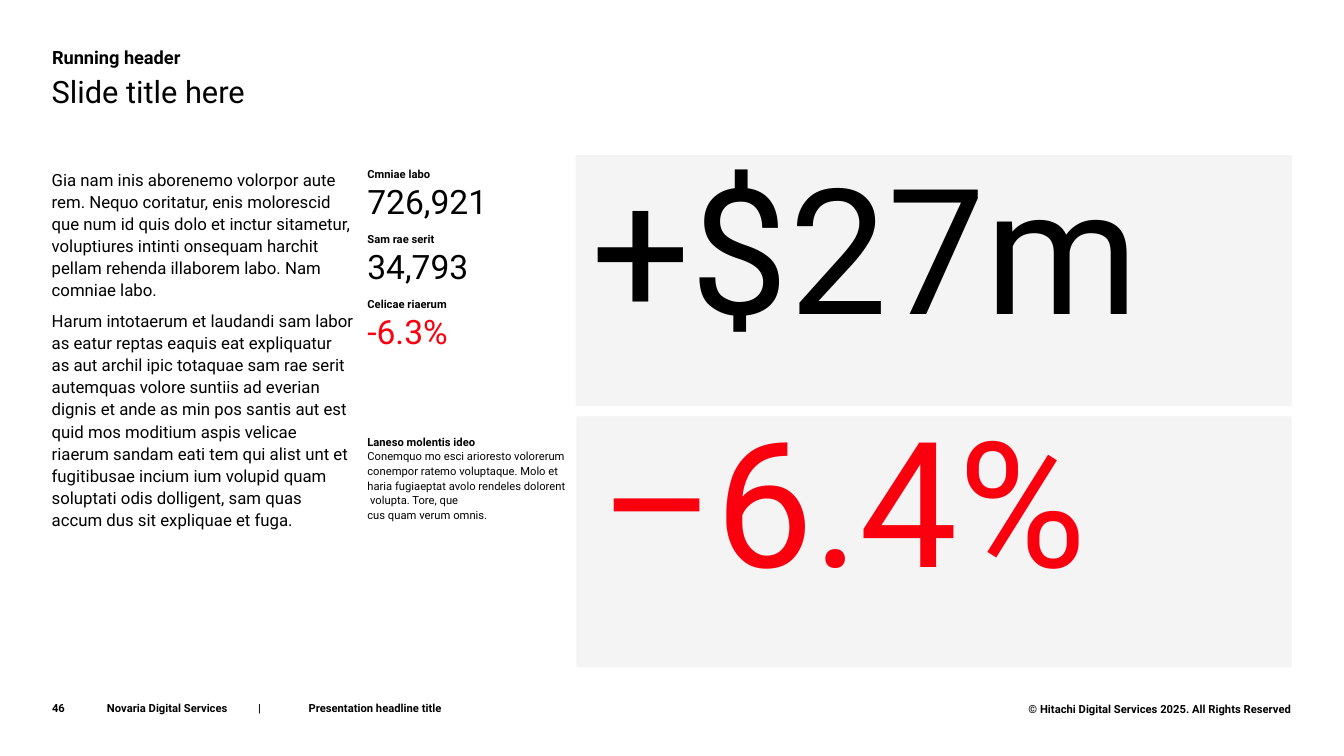
import lxml.etree
import pptx
import pptx.dml.color
import pptx.enum.shapes
import pptx.enum.text
import pptx.oxml.ns
import pptx.util

Pt = pptx.util.Pt
ANCHOR = pptx.enum.text.MSO_ANCHOR
ALIGN = pptx.enum.text.PP_ALIGN
BLACK = pptx.dml.color.RGBColor(0x00, 0x00, 0x00)
RED = pptx.dml.color.RGBColor(0xFA, 0x00, 0x0F)
PANEL_GREY = pptx.dml.color.RGBColor(0xF4, 0xF4, 0xF4)
FONT_NAME = "Roboto"


def prepare_frame(shape, box, margins=(0, 0, 0, 0), anchor=ANCHOR.TOP):
    """Place a shape and return its text frame, wrapped and with set margins."""
    shape.left, shape.top, shape.width, shape.height = [Pt(length) for length in box]
    frame = shape.text_frame
    frame.word_wrap = True
    frame.auto_size = pptx.enum.text.MSO_AUTO_SIZE.NONE
    frame.vertical_anchor = anchor
    (frame.margin_left, frame.margin_top,
     frame.margin_right, frame.margin_bottom) = [Pt(margin) for margin in margins]
    return frame


def add_paragraph(frame, text, size, bold=False, color=BLACK, line_spacing=1.0,
                  space_before=0, alignment=ALIGN.LEFT, tab_stops=()):
    """Add a paragraph without a bullet; a newline in the text is a line break."""
    paragraph = frame.add_paragraph() if frame.text else frame.paragraphs[0]
    properties = paragraph._p.get_or_add_pPr()
    properties.set("marL", "0")
    properties.set("indent", "0")
    lxml.etree.SubElement(properties, pptx.oxml.ns.qn("a:buNone"))
    if tab_stops:
        tab_list = lxml.etree.SubElement(properties, pptx.oxml.ns.qn("a:tabLst"))
        for position in tab_stops:
            lxml.etree.SubElement(tab_list, pptx.oxml.ns.qn("a:tab"),
                                  pos=str(Pt(position)), algn="l")
    paragraph.alignment = alignment
    paragraph.line_spacing = line_spacing
    paragraph.space_before = Pt(space_before)
    paragraph.space_after = Pt(0)
    for index, line in enumerate(text.split("\n")):
        if index:
            paragraph.add_line_break()
        run = paragraph.add_run()
        run.text = line
        run.font.name = FONT_NAME
        run.font.size = Pt(size)
        run.font.bold = bold
        run.font.color.rgb = color


presentation = pptx.Presentation()
presentation.slide_width = Pt(960)
presentation.slide_height = Pt(540)
slide = presentation.slides.add_slide(presentation.slide_layouts.get_by_name("Comparison"))
title, running_header, body, statistics, spare = slide.placeholders
spare.element.getparent().remove(spare.element)

# Headings
frame = prepare_frame(title, (36.9, 54.7, 586, 24))
add_paragraph(frame, "Slide title here", 22, line_spacing=0.9)
frame = prepare_frame(running_header, (37.2, 31.7, 361.5, 16.5))
add_paragraph(frame, "Running header", 13, bold=True, line_spacing=1.1)

# Body text
frame = prepare_frame(body, (36.9, 119.5, 216, 338.4))
add_paragraph(
    frame,
    "Gia nam inis aborenemo volorpor aute rem. Nequo coritatur, enis molorescid "
    "que num id quis dolo et inctur sitametur, voluptiures intinti onsequam harchit "
    "pellam rehenda illaborem labo. Nam comniae labo.",
    12, line_spacing=1.1)
add_paragraph(
    frame,
    "Harum intotaerum et laudandi sam labor as eatur reptas eaquis eat expliquatur "
    "as aut archil ipic totaquae sam rae serit autemquas volore suntiis ad everian "
    "dignis et ande as min pos santis aut est quid mos moditium aspis velicae riaerum "
    "sandam eati tem qui alist unt et fugitibusae incium ium volupid quam soluptati "
    "odis dolligent, sam quas accum dus sit expliquae et fuga.",
    12, line_spacing=1.1, space_before=6)

# Key figures and their note
frame = prepare_frame(statistics, (262.4, 119.5, 142, 338.4))
for label, value, color, gap in [
    ("Cmniae labo", "726,921", BLACK, 0),
    ("Sam rae serit", "34,793", BLACK, 8),
    ("Celicae riaerum", "-6.3%", RED, 8),
]:
    add_paragraph(frame, label, 8, bold=True, space_before=gap)
    add_paragraph(frame, value, 24, color=color)
add_paragraph(frame, "Laneso molentis ideo", 8, bold=True, space_before=60)
add_paragraph(
    frame,
    "Conemquo mo esci arioresto volorerum conempor ratemo voluptaque. Molo et haria "
    "fugiaeptat avolo rendeles dolorent  volupta. Tore, que\ncus quam verum omnis.",
    8, line_spacing=1.1)

# Headline panels
for text, color, box, margins, line_spacing in [
    ("+$27m", BLACK, (411.1, 110.9, 511.9, 179.3), (11.5, 0, 0, 0), 0.95),
    ("–6.4%", RED, (411.8, 297.4, 510.8, 179.3), (17.3, 0, 5.8, 5.8), 0.9),
]:
    panel = slide.shapes.add_shape(pptx.enum.shapes.MSO_SHAPE.RECTANGLE, 0, 0, 0, 0)
    panel.shadow.inherit = False
    panel.fill.solid()
    panel.fill.fore_color.rgb = PANEL_GREY
    panel.line.fill.background()
    frame = prepare_frame(panel, box, margins)
    add_paragraph(frame, text, 125, color=color, line_spacing=line_spacing)

# Footer
for text, box, anchor, alignment, tab_stops in [
    ("46", (37.2, 499, 33.8, 11.5), ANCHOR.BOTTOM, ALIGN.LEFT, ()),
    ("Novaria Digital Services\t|\tPresentation headline title",
     (76.4, 499, 286.6, 11.5), ANCHOR.BOTTOM, ALIGN.LEFT, (90, 97.5)),
    ("© Hitachi Digital Services 2025. All Rights Reserved",
     (694.6, 501.8, 228, 10), ANCHOR.TOP, ALIGN.RIGHT, ()),
]:
    frame = prepare_frame(slide.shapes.add_textbox(0, 0, 0, 0), box, anchor=anchor)
    add_paragraph(frame, text, 8, bold=True, alignment=alignment, tab_stops=tab_stops)

presentation.save("out.pptx")
